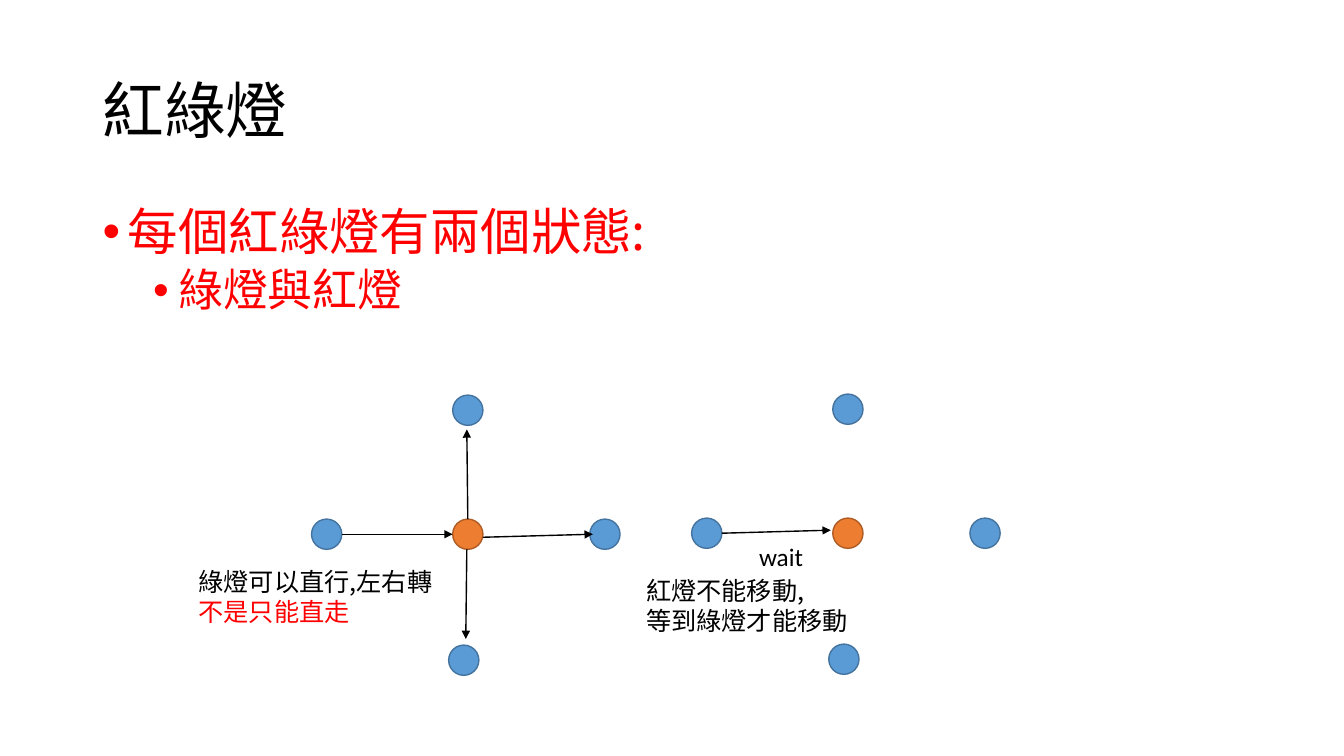
import pptx
import pptx.dml.color
import pptx.enum.shapes
import pptx.enum.text
import pptx.oxml
import pptx.oxml.ns
import pptx.util

PX = 9144  # EMU per px, 100 px to the inch


class Theme:
    cjk, latin = "Noto Sans CJK SC", "Calibri"
    title, body, sub_body, label = 44, 36, 32, 18
    black, red = "000000", "FF0000"
    road = ("5B9BD5", "43739E")
    light = ("ED7D31", "AF5C24")


# Node places and arrow ends, relative to the western node
ROAD_NODES = [(0, 0), (276, 0), (136, 125), (140, -123)]
LIGHT_NODE = (140, 0)
NODE_SIZE = 30
GREEN_ARROWS = [(30, 15, 140, 15), (170, 18, 279, 15),
                (154, 30, 153, 119), (155, 0, 154, -89)]
RED_ARROWS = [(30, 15, 138, 12)]


def px(*lengths):
    return [pptx.util.Emu(n * PX) for n in lengths]


def rgb(color):
    return pptx.dml.color.RGBColor.from_string(color)


def child(parent, tag, **attrs):
    e = pptx.oxml.ns.qn(tag)
    e = parent.makeelement(e, attrs)
    parent.append(e)
    return e


def add_text(slide, box, lines, font=Theme.cjk, wrap=True, anchor="TOP"):
    """Lines are (text, size, color); returns the paragraphs."""
    tf = slide.shapes.add_textbox(*px(*box)).text_frame
    tf.word_wrap = wrap
    tf.vertical_anchor = pptx.enum.text.MSO_ANCHOR[anchor]
    tf.text = "\n".join(text for text, _, _ in lines)
    for p, (_, size, color) in zip(tf.paragraphs, lines):
        for r in p.runs:
            r.font.size = pptx.util.Pt(size)
            r.font.color.rgb = rgb(color)
            r.font.name = font
            child(r.font._element, "a:ea", typeface=font)
    return tf.paragraphs


def add_title(slide, box, text):
    p, = add_text(slide, box, [(text, Theme.title, Theme.black)], anchor="MIDDLE")
    p.line_spacing = 0.9


def add_bullets(slide, box, items):
    """Items are (text, size), each one level below the item before."""
    paragraphs = add_text(slide, box, [(t, size, Theme.red) for t, size in items])
    for level, p in enumerate(paragraphs):
        p.level = level
        p.line_spacing = 0.9
        p.space_before = pptx.util.Pt(5 * level)
        pPr = p._p.get_or_add_pPr()
        margin, indent = px(25 + 50 * level, -25)
        pPr.set("marL", str(margin))
        pPr.set("indent", str(indent))
        child(pPr, "a:buFont", typeface="Arial")
        child(pPr, "a:buChar", char="•")


def add_node(slide, x, y, colors):
    sp = slide.shapes.add_shape(pptx.enum.shapes.MSO_SHAPE.OVAL,
                                *px(x, y, NODE_SIZE, NODE_SIZE))
    sp.shadow.inherit = False
    fill, line = colors
    sp.fill.solid()
    sp.fill.fore_color.rgb = rgb(fill)
    sp.line.color.rgb = rgb(line)
    sp.line.width = pptx.util.Pt(1)


def add_arrow(slide, x1, y1, x2, y2):
    c = slide.shapes.add_connector(pptx.enum.shapes.MSO_CONNECTOR.STRAIGHT,
                                   *px(x1, y1, x2, y2))
    c.line.color.rgb = rgb(Theme.black)
    c.line.width = pptx.util.Pt(1)
    child(c.line._get_or_add_ln(), "a:tailEnd", type="triangle")
    child(c._element.spPr, "a:effectLst")


def add_crossing(slide, x, y, arrows):
    for dx, dy in ROAD_NODES:
        add_node(slide, x + dx, y + dy, Theme.road)
    add_node(slide, x + LIGHT_NODE[0], y + LIGHT_NODE[1], Theme.light)
    for x1, y1, x2, y2 in arrows:
        add_arrow(slide, x + x1, y + y1, x + x2, y + y2)


def main():
    prs = pptx.Presentation()
    prs.slide_width, prs.slide_height = px(1333, 750)
    slide = prs.slides.add_slide(prs.slide_layouts[6])

    # Heading and bullets
    add_title(slide, (92, 40, 1150, 145), "紅綠燈")
    add_bullets(slide, (92, 200, 1150, 476),
                [("每個紅綠燈有兩個狀態:", Theme.body),
                 ("綠燈與紅燈", Theme.sub_body)])

    # Green light crossing, then red light crossing
    add_crossing(slide, 309, 515, GREEN_ARROWS)
    add_crossing(slide, 686, 514, RED_ARROWS)

    # Captions
    add_text(slide, (743, 532, 64, 40), [("wait", Theme.label, Theme.black)],
             font=Theme.latin, wrap=False)
    add_text(slide, (187, 557, 260, 71),
             [("綠燈可以直行,左右轉", Theme.label, Theme.black),
              ("不是只能直走", Theme.label, Theme.red)])
    add_text(slide, (631, 566, 222, 71),
             [("紅燈不能移動,", Theme.label, Theme.black),
              ("等到綠燈才能移動", Theme.label, Theme.black)], wrap=False)

    prs.save("out.pptx")


if __name__ == "__main__":
    main()
